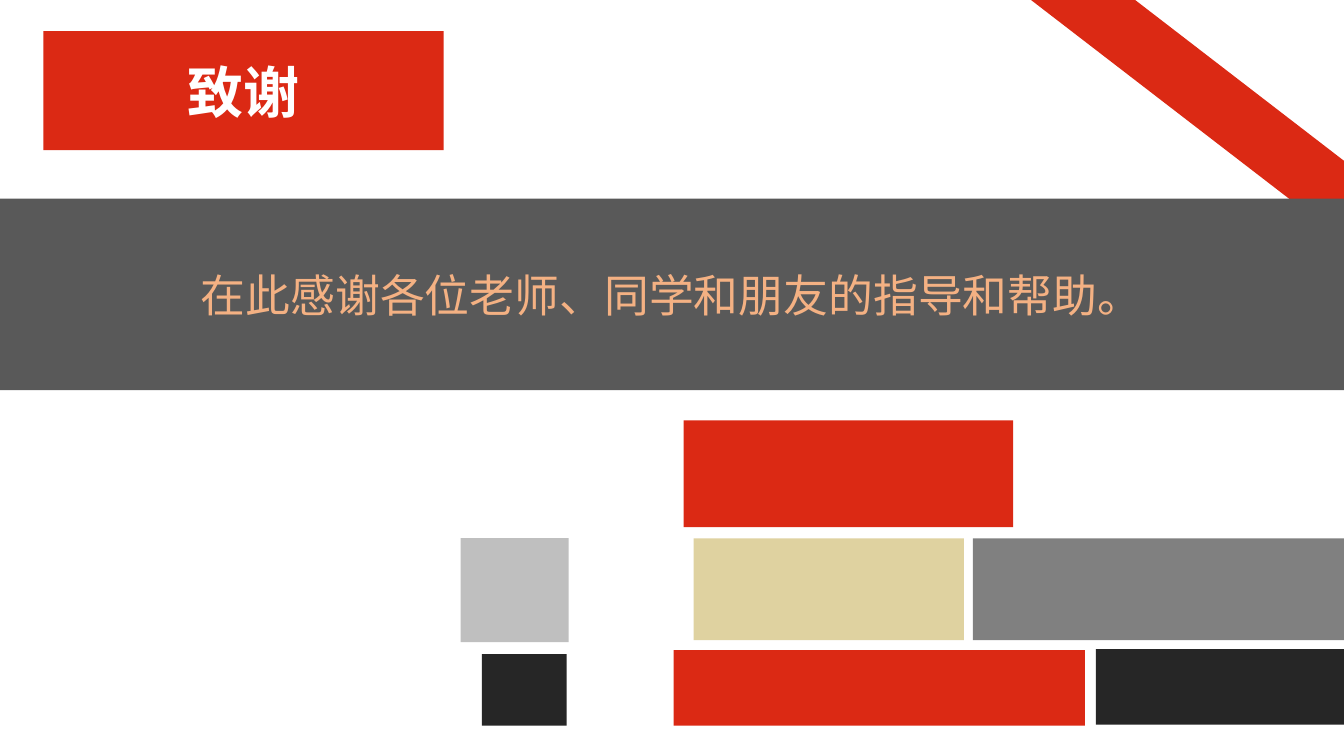
from lxml import etree
from pptx import Presentation
from pptx import util as u
from pptx.dml.color import RGBColor
from pptx.enum import shapes, text
from pptx.oxml import ns

RED = RGBColor(0xDB, 0x29, 0x14)
SLATE = RGBColor(0x59, 0x59, 0x59)
PEACH = RGBColor(0xF4, 0xB1, 0x83)
SAND = RGBColor(0xDF, 0xD2, 0xA0)
SILVER = RGBColor(0xBF, 0xBF, 0xBF)
GRAY = RGBColor(0x80, 0x80, 0x80)
BLACK = RGBColor(0x26, 0x26, 0x26)
WHITE = RGBColor(0xFF, 0xFF, 0xFF)
CJK_FONT = "Noto Sans CJK SC"
WIDTH, HEIGHT = 13.33, 7.5


def write(sp, words, size, color, font=CJK_FONT, bold=False):
    """Put one centred line of text in a shape."""
    tf = sp.text_frame
    tf.word_wrap = True
    tf.auto_size = text.MSO_AUTO_SIZE.NONE
    tf.vertical_anchor = text.MSO_ANCHOR.MIDDLE
    p = tf.paragraphs[0]
    p.alignment = text.PP_ALIGN.CENTER
    r = p.add_run()
    r.text = words
    r.font.name, r.font.size, r.font.bold = font, u.Pt(size), bold
    r.font.color.rgb = color
    east_asian = etree.SubElement(r.font._element, ns.qn("a:ea"))
    east_asian.set("typeface", CJK_FONT)


class ThanksSlide:
    def __init__(self, prs):
        self.s = prs.slides.add_slide(prs.slide_layouts[5])
        self.s.background.fill.solid()
        self.s.background.fill.fore_color.rgb = WHITE

    def paint(self, sp, color):
        sp.fill.solid()
        sp.fill.fore_color.rgb = color
        sp.line.fill.background()
        return sp

    def title(self, words, left, top, width, height):
        sp = self.s.shapes.title
        sp.left, sp.top = u.Inches(left), u.Inches(top)
        sp.width, sp.height = u.Inches(width), u.Inches(height)
        write(self.paint(sp, RED), words, 40, WHITE, bold=True)

    def block(self, left, top, width, height, color):
        sp = self.s.shapes.add_shape(
            shapes.MSO_SHAPE.RECTANGLE, u.Inches(left), u.Inches(top),
            u.Inches(width), u.Inches(height))
        sp.shadow.inherit = False
        return self.paint(sp, color)

    def stripe(self, left, top, width, height, angle, color):
        right, bottom = left + width, top + height
        corners = [(right, top), (right, bottom), (left, bottom)]
        outline = self.s.shapes.build_freeform(
            u.Inches(left), u.Inches(top))
        outline.add_line_segments(
            [(u.Inches(x), u.Inches(y)) for x, y in corners], close=True)
        sp = outline.convert_to_shape()
        sp.rotation = angle
        sp.shadow.inherit = False
        return self.paint(sp, color)


def main():
    prs = Presentation()
    prs.slide_width, prs.slide_height = u.Inches(WIDTH), u.Inches(HEIGHT)
    slide = ThanksSlide(prs)

    # Heading and diagonal stripe
    slide.title("致谢", 0.43, 0.31, 3.97, 1.18)
    slide.stripe(8.1, 0.43, 7.22, 0.63, 217.6, RED)

    # Message band, over the end of the stripe
    band = slide.block(0, 1.97, WIDTH, 1.9, SLATE)
    write(band, "在此感谢各位老师、同学和朋友的指导和帮助。", 32, PEACH, font="Arial")

    # Mosaic of colour blocks
    for left, top, width, height, color in [
        (6.78, 4.17, 3.27, 1.06, RED),
        (4.57, 5.34, 1.07, 1.03, SILVER),
        (6.88, 5.34, 2.68, 1.01, SAND),
        (9.65, 5.34, WIDTH - 9.65, 1.01, GRAY),
        (4.78, 6.49, 0.84, 0.71, BLACK),
        (6.68, 6.45, 4.08, 0.75, RED),
        (10.87, 6.44, WIDTH - 10.87, 0.75, BLACK),
    ]:
        slide.block(left, top, width, height, color)

    prs.save("out.pptx")


if __name__ == "__main__":
    main()
